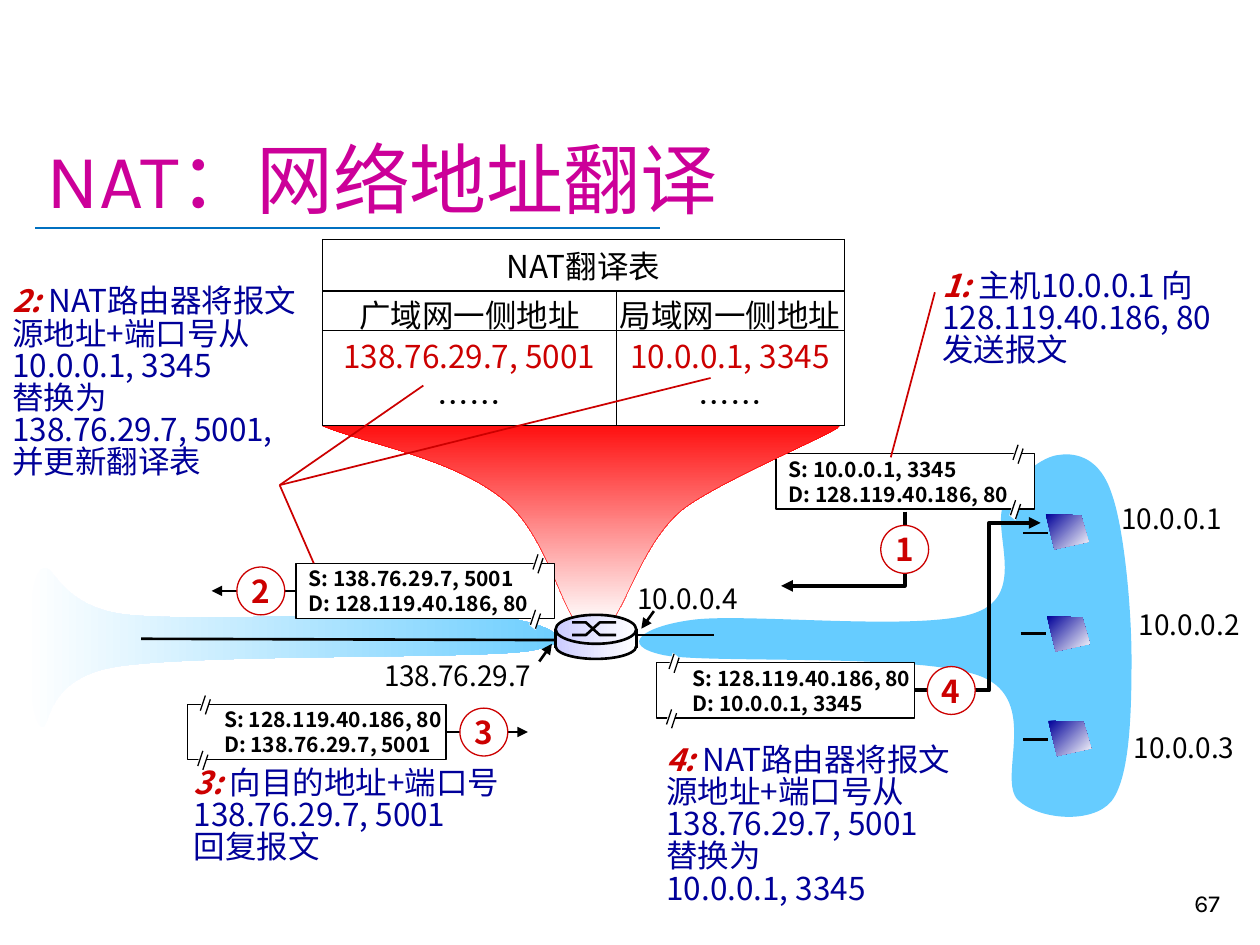
from lxml import etree
from pptx import Presentation
from pptx.dml.color import RGBColor
from pptx.enum.shapes import MSO_CONNECTOR as Link, MSO_SHAPE as Kind
from pptx.enum.text import MSO_ANCHOR as Anchor, PP_ALIGN as Align
from pptx.oxml.ns import qn
from pptx.util import Inches, Pt

INK = dict(black="000000", white="FFFFFF", red="CC0000", hot="FF0000", navy="000099",
           pink="CC0099", rule="0070C0", sky="66CCFF", lilac="CCCCFF")
FONT = "Noto Sans CJK SC"


def rgb(name):
    return RGBColor.from_string(INK[name])


def sub(parent, tag, **attrs):
    return etree.SubElement(parent, qn(tag), attrs)


def inches(*values):
    return [Inches(v) for v in values]


def write(frame, paras, size=16, color="black", bold=False, align=None, space=None,
          font=FONT, wrap=False, anchor=Anchor.TOP):
    """Fill a frame; a paragraph is a string or a list of (string, changes)."""
    frame.word_wrap = wrap
    frame.vertical_anchor = anchor
    for i, runs in enumerate(paras):
        para = frame.paragraphs[0] if i == 0 else frame.add_paragraph()
        para.alignment, para.line_spacing = align, space
        for words, new in [(runs, {})] if isinstance(runs, str) else runs:
            for j, part in enumerate(words.split("\n")):
                if j:
                    para.add_line_break()
                run = para.add_run()
                run.text = part
                face = run.font
                face.size, face.name = Pt(size), font
                face.bold = new.get("bold", bold)
                face.italic = new.get("italic", False)
                face.color.rgb = rgb(new.get("color", color))
                sub(face._element, "a:ea", typeface=FONT)


def text(slide, box, paras, **fmt):
    write(slide.shapes.add_textbox(*inches(*box)).text_frame, paras, **fmt)


def paint(shape, fill=None, line=None, width=0.75, angle=0):
    """Set fill (a colour, or a pair for a gradient) and outline."""
    shape.shadow.inherit = False
    if isinstance(fill, tuple):
        shape.fill.gradient()
        shape.fill.gradient_angle = -angle % 360
        for stop, name, at in zip(shape.fill.gradient_stops, fill, (0, 1)):
            stop.color.rgb, stop.position = rgb(name), at
    elif fill:
        shape.fill.solid()
        shape.fill.fore_color.rgb = rgb(fill)
    else:
        shape.fill.background()
    if line:
        shape.line.color.rgb, shape.line.width = rgb(line), Pt(width)
    else:
        shape.line.fill.background()
    return shape


def preset(slide, kind, box, *look, **more):
    return paint(slide.shapes.add_shape(kind, *inches(*box)), *look, **more)


def shift(x, y, points):
    return [(x + dx, y + dy) for dx, dy in points]


def outline(slide, points, *look, curved=False, closed=True, **more):
    """Draw through points; when curved, each three make one Bezier segment."""
    spots = [tuple(inches(*p)) for p in points]
    pen = slide.shapes.build_freeform(*spots[0], scale=1.0)
    pen.add_line_segments(spots[1:], close=closed)
    shape = pen.convert_to_shape()
    if curved:
        steps = list(shape._element.iter(qn("a:lnTo")))
        for a, b, c in zip(steps[::3], steps[1::3], steps[2::3]):
            a.tag = qn("a:cubicBezTo")
            for step in (b, c):
                a.append(step[0])
                step.getparent().remove(step)
    return paint(shape, *look, **more)


def arrow(shape):
    sub(shape.line._get_or_add_ln(), "a:tailEnd", type="triangle")


def wire(slide, start, end, color="black", width=1.5, tip=False):
    link = slide.shapes.add_connector(Link.STRAIGHT, *inches(*start, *end))
    link.line.color.rgb, link.line.width = rgb(color), Pt(width)
    sub(link._element.spPr, "a:effectLst")
    if tip:
        arrow(link)
    return link


def badge(slide, x, y, digit):
    disc = preset(slide, Kind.OVAL, (x, y, 0.38, 0.38), "white", "red")
    frame = disc.text_frame
    frame.margin_left = frame.margin_right = frame.margin_top = frame.margin_bottom = 0
    write(frame, [digit], size=18, color="red", bold=True, align=Align.CENTER,
          anchor=Anchor.MIDDLE)


def packet(slide, x, y, source, target, right):
    """Header box with its torn marks near the right or left end."""
    box = preset(slide, Kind.RECTANGLE, (x, y, 2.05, 0.44), "white", "black")
    inset = 0 if right else 0.19
    text(slide, (x + inset, y - 0.03, 2.09, 0.51), ["S: " + source, "D: " + target],
         size=12, bold=True, wrap=True)
    left = x + (1.87 if right else 0.09)
    for mx, my in ((left, y - 0.08), (left - 0.02, y + 0.36)):
        outline(slide, shift(mx, my, [(0.04, 0), (0, 0.13), (0.05, 0.17), (0.09, 0.04)]),
                "white")
        for dx, dy in ((0, 0), (0.04, 0.03)):
            wire(slide, (mx + 0.05 + dx, my + 0.01 + dy),
                 (mx + 0.01 + dx, my + 0.13 + dy), width=0.75)
    return box


def route(slide, points):
    arrow(outline(slide, points, None, "black", 2.25, closed=False))


def note(slide, box, digit, words):
    mark = dict(color="red", bold=True, italic=True)
    text(slide, box, [[(digit + ": ", mark), (words, {})]], size=18, color="navy",
         space=0.85, wrap=True)


def clouds(slide):
    outline(slide, [
        (3.92, 4.89), (3.39, 4.84), (1.62, 4.94), (1.02, 4.88), (0.42, 4.82),
        (0.43, 4.39), (0.31, 4.54), (0.2, 4.68), (0.21, 5.62), (0.31, 5.75),
        (0.42, 5.87), (0.29, 5.39), (0.93, 5.29), (1.58, 5.19), (3.68, 5.23),
        (4.17, 5.17), (4.67, 5.1), (4.36, 4.94), (3.92, 4.89)],
        ("white", "sky"), curved=True)
    outline(slide, [
        (5.49, 4.92), (5.91, 4.86), (7.34, 5.02), (7.75, 4.86), (8.16, 4.71),
        (7.86, 4.2), (7.97, 3.99), (8.07, 3.78), (8.27, 3.62), (8.41, 3.61),
        (8.55, 3.59), (8.73, 3.64), (8.82, 3.91), (8.92, 4.18), (8.98, 4.82),
        (8.98, 5.23), (8.98, 5.64), (8.97, 6.17), (8.82, 6.36), (8.67, 6.54),
        (8.25, 6.51), (8.08, 6.35), (7.91, 6.18), (8.26, 5.56), (7.79, 5.37),
        (7.32, 5.18), (5.65, 5.27), (5.27, 5.2), (4.89, 5.12), (5.11, 4.97),
        (5.49, 4.92)], "sky", curved=True)


def funnel(slide):
    outline(slide, [
        (2.56, 3.38), (2.56, 3.38), (6.17, 3.27), (6.65, 3.38), (6.79, 3.37),
        (5.71, 3.81), (5.41, 4.05), (5.11, 4.3), (4.97, 4.81), (4.84, 4.95),
        (4.84, 4.95), (4.58, 4.95), (4.58, 4.95), (4.44, 4.78), (4.32, 4.22),
        (3.99, 3.96), (3.58, 3.63), (2.89, 3.52), (2.56, 3.38)],
        ("hot", "white"), "hot", 0.25, angle=90, curved=True)


def table(slide, box):
    grid = slide.shapes.add_table(3, 2, *inches(*box)).table
    for col, width in zip(grid.columns, (2.33, 1.81)):
        col.width = Inches(width)
    for row, height in zip(grid.rows, (0.41, 0.31, 0.76)):
        row.height = Inches(height)
    grid.cell(0, 0).merge(grid.cell(0, 1))
    rows = [[["NAT翻译表"], []], [["广域网一侧地址"], ["局域网一侧地址"]],
            [[[(address, dict(color="red"))], "……"]
             for address in ("138.76.29.7, 5001", "10.0.0.1, 3345")]]
    for r, row in enumerate(rows):
        for c, paras in enumerate(row):
            cell = grid.cell(r, c)
            cell.margin_left = cell.margin_right = cell.margin_top = cell.margin_bottom = 0
            if paras:
                write(cell.text_frame, paras, size=18, align=Align.CENTER, wrap=True)
            cell.vertical_anchor = Anchor.MIDDLE
            props = cell._tc.get_or_add_tcPr()
            for side in "LRTB":
                edge = sub(props, "a:ln" + side, w=str(Pt(0.75)))
                sub(sub(edge, "a:solidFill"), "a:srgbClr", val=INK["black"])
            cell.fill.solid()
            cell.fill.fore_color.rgb = rgb("white")


def router(slide, x, y):
    shade = ("lilac", "white")
    preset(slide, Kind.OVAL, (x, y + 0.15, 0.64, 0.2), shade, "black", 1.5)
    preset(slide, Kind.RECTANGLE, (x, y + 0.13, 0.64, 0.12), shade)
    preset(slide, Kind.OVAL, (x, y, 0.64, 0.23), shade, "black", 1.5)
    for a, b in ((0.16, 0.06), (0.06, 0.16)):
        outline(slide, shift(x, y, [(0.13, a), (0.24, a), (0.35, b), (0.48, b)]),
                None, "black", 1.5, closed=False)
    for side in (x, x + 0.64):
        wire(slide, (side, y + 0.11), (side, y + 0.26))


def host(slide, x, y, stub, label, name):
    wire(slide, stub, (stub[0] + 0.2, stub[1]))
    outline(slide, shift(x, y, [(0, 0), (0.28, 0.01), (0.34, 0.22), (0.07, 0.28)]),
            ("navy", "white"), angle=45)
    text(slide, (*label, 1.1, 0.37), [name])


def heading(slide, box):
    wire(slide, (0.28, 1.81), (5.24, 1.81), "rule", 1.25)
    title = slide.shapes.title
    title.left, title.top, title.width, title.height = inches(*box)
    write(title.text_frame, ["NAT：网络地址翻译"], size=44, color="pink", font="Karla",
          align=Align.LEFT, wrap=True, anchor=Anchor.BOTTOM)


def main():
    deck = Presentation()
    deck.slide_width, deck.slide_height = inches(10, 7.5)
    slide = deck.slides.add_slide(deck.slide_layouts[5])
    host1, server = "10.0.0.1, 3345", "128.119.40.186, 80"
    public = "138.76.29.7, 5001"

    heading(slide, (0.27, 0.23, 9.51, 1.6))
    text(slide, (7.7, 6.83, 2.08, 0.5), ["67"], size=14, font="Karla",
         align=Align.RIGHT, anchor=Anchor.BOTTOM, wrap=True)
    clouds(slide)
    wire(slide, (5.01, 5.04), (5.67, 5.04))
    host(slide, 8.3, 4.08, (8.12, 4.23), (8.8, 3.93), "10.0.0.1")
    host(slide, 8.31, 4.89, (8.1, 5.03), (8.94, 4.77), "10.0.0.2")
    host(slide, 8.32, 5.72, (8.12, 5.87), (8.9, 5.75), "10.0.0.3")

    packet(slide, 6.16, 3.6, host1, server, True)
    route(slide, [(7.18, 4.06), (7.18, 4.65), (6.2, 4.65)])
    badge(slide, 6.99, 4.17, "1")
    text(slide, (4.96, 4.57, 1.1, 0.37), ["10.0.0.4"])
    wire(slide, (5.19, 4.85), (5.09, 4.99), tip=True)
    text(slide, (2.95, 5.18, 1.44, 0.37), ["138.76.29.7"])
    wire(slide, (4.28, 5.25), (4.38, 5.11), tip=True)

    funnel(slide)
    table(slide, (2.56, 1.9, 4.14, 1.48))
    packet(slide, 5.21, 5.26, server, host1, False)
    route(slide, [(7.26, 5.48), (7.85, 5.48), (7.85, 4.15), (8.26, 4.15)])
    badge(slide, 7.36, 5.29, "4")
    sent = packet(slide, 2.35, 4.47, public, server, True)
    wire(slide, (2.35, 4.69), (1.68, 4.69), tip=True).begin_connect(sent, 1)
    badge(slide, 1.88, 4.5, "2")
    reply = packet(slide, 1.49, 5.59, server, public, False)
    wire(slide, (3.54, 5.81), (4.19, 5.81), tip=True).begin_connect(reply, 3)
    badge(slide, 3.65, 5.62, "3")

    note(slide, (7.38, 2.11, 2.6, 0.87), "1", f"主机10.0.0.1 向\n{server}\n发送报文")
    wire(slide, (7.42, 2.32), (7.07, 3.63), "red", 1)
    start = "NAT路由器将报文\n源地址+端口号从\n"
    note(slide, (0, 2.23, 2.48, 1.65), "2",
         f"{start}{host1}\n替换为\n{public},\n并更新翻译表")
    for end in ((2.49, 4.47), (3.36, 3.06), (5.64, 3)):
        wire(slide, (2.22, 3.85), end, "red", 1)
    note(slide, (1.44, 6.05, 2.73, 0.87), "3", f"向目的地址+端口号\n{public}\n回复报文")
    note(slide, (5.19, 5.87, 2.48, 1.69), "4", f"{start}{public}\n替换为\n{host1}")
    wire(slide, (1.12, 5.07), (4.43, 5.08))
    router(slide, 4.41, 4.88)
    deck.save("out.pptx")


if __name__ == "__main__":
    main()
